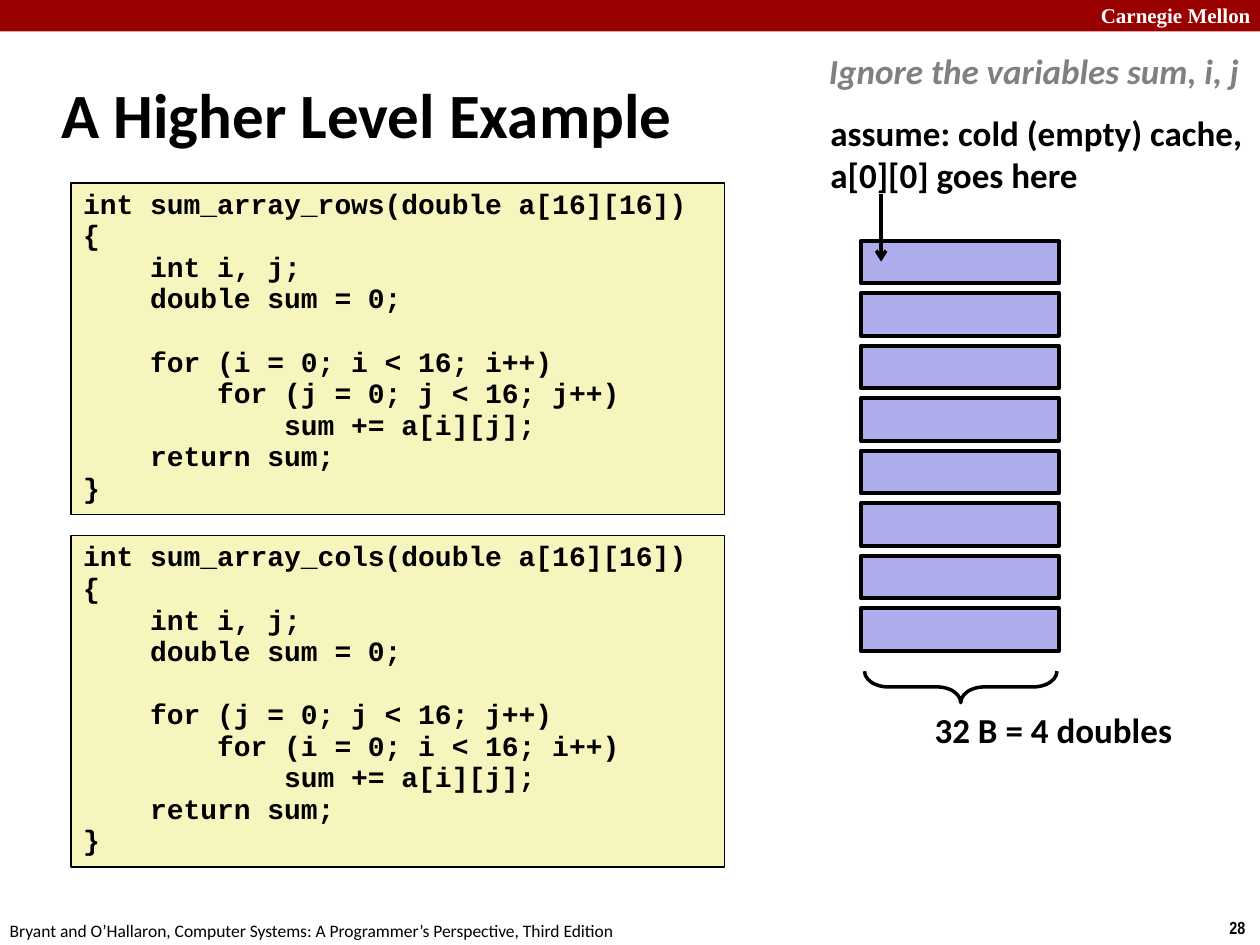
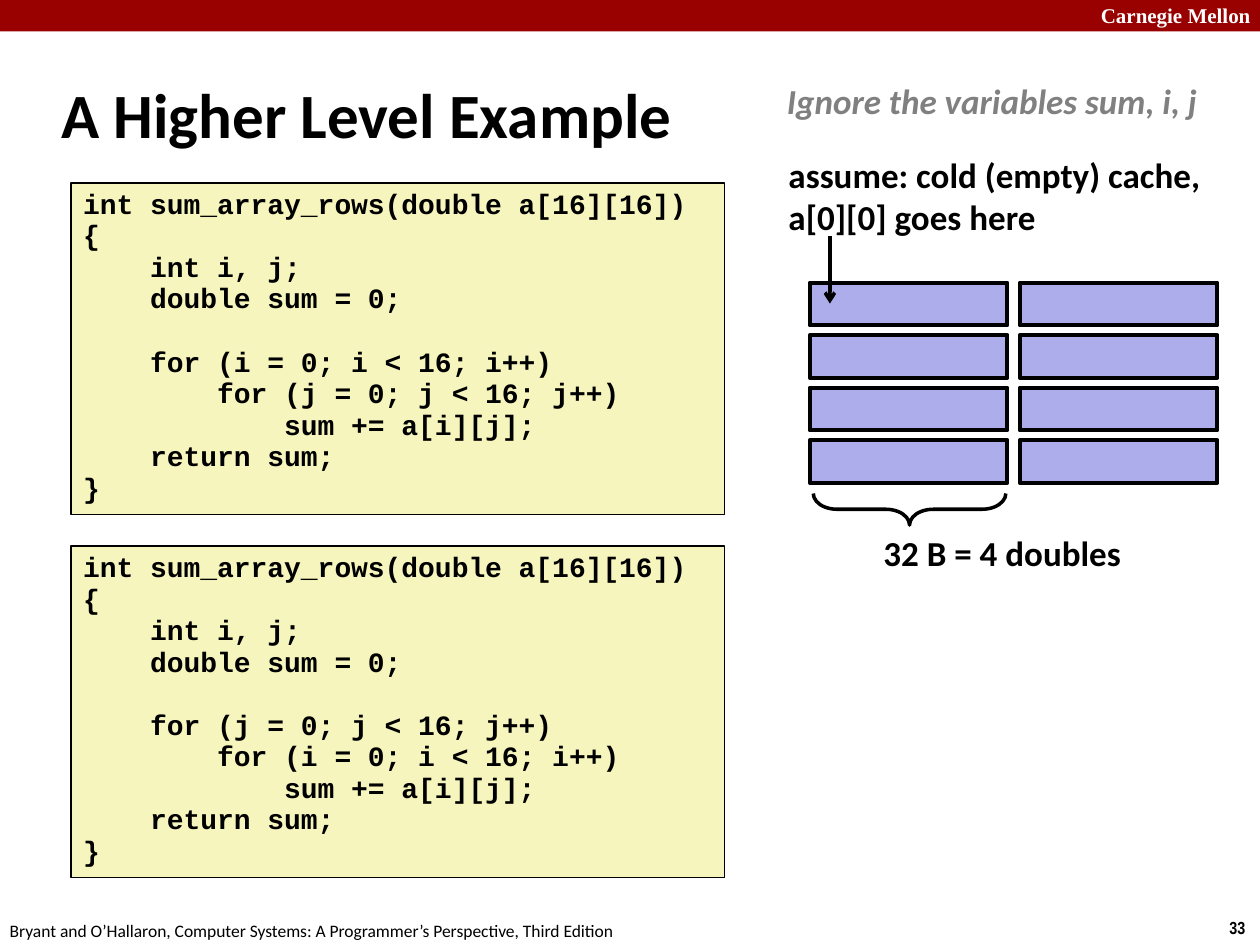
from lxml.etree import SubElement
from pptx import Presentation
from pptx.dml.color import RGBColor
from pptx.enum.shapes import MSO_CONNECTOR, MSO_SHAPE
from pptx.enum.text import MSO_ANCHOR, PP_ALIGN
from pptx.oxml.ns import qn
from pptx.util import Pt

BLACK = "000000"
WHITE = "FFFFFF"
GRAY = "808080"
BAND_RED = "990000"
CODE_YELLOW = "F6F5BD"
CACHE_BLUE = "ADADEB"

LINE_WIDTH, LINE_HEIGHT = 113, 24.5
COLUMN_PITCH, ROW_PITCH = 120, 30
CODE_LEFT, CODE_WIDTH, CODE_HEIGHT = 40.5, 373.5, 189.5

CODE = """int {name}(double a[16][16])
{{
    int i, j;
    double sum = 0;

    for ({outer} = 0; {outer} < 16; {outer}++)
        for ({inner} = 0; {inner} < 16; {inner}++)
            sum += a[i][j];
    return sum;
}}"""


def color(value):
    return RGBColor.from_string(value)


def write_lines(frame, lines, size, font="Calibri", ink=BLACK, bold=True, italic=False):
    gap = False
    paragraph = frame.paragraphs[0]
    for number, line in enumerate(lines):
        if not line:
            gap = True
            continue
        if number:
            paragraph = frame.add_paragraph()
        paragraph.alignment = PP_ALIGN.LEFT
        if gap:
            paragraph.space_before = Pt(18)
            gap = False
        run = paragraph.add_run()
        run.text = line
        run.font.name = font
        run.font.size = Pt(size)
        run.font.bold = bold
        run.font.italic = italic
        run.font.color.rgb = color(ink)


def add_text(slide, box, lines, size, wrap=False, anchor=MSO_ANCHOR.TOP, **style):
    frame = slide.shapes.add_textbox(*map(Pt, box)).text_frame
    frame.word_wrap = wrap
    frame.vertical_anchor = anchor
    write_lines(frame, lines, size, **style)


def add_box(slide, kind, box, fill=None, line_width=None):
    shape = slide.shapes.add_shape(kind, *map(Pt, box))
    shape.shadow.inherit = False
    if fill:
        shape.fill.solid()
        shape.fill.fore_color.rgb = color(fill)
    else:
        shape.fill.background()
    if line_width:
        shape.line.color.rgb = color(BLACK)
        shape.line.width = Pt(line_width)
    else:
        shape.line.fill.background()
    return shape


def add_arrow(slide, left, top, bottom):
    arrow = slide.shapes.add_connector(
        MSO_CONNECTOR.STRAIGHT, Pt(left), Pt(top), Pt(left), Pt(bottom))
    arrow.line.color.rgb = color(BLACK)
    arrow.line.width = Pt(2)
    SubElement(arrow.line._get_or_add_ln(), qn("a:tailEnd"), type="arrow")
    SubElement(arrow._element.spPr, qn("a:effectLst"))


def add_frame(slide, page):
    add_box(slide, MSO_SHAPE.RECTANGLE, (0, 0, 720, 18), BAND_RED)
    add_text(slide, (622, -2, 103, 22), ["Carnegie Mellon"], 12, wrap=True,
             font="Times New Roman", ink=WHITE)
    add_text(slide, (695.5, 520.5, 24.5, 19.5), [str(page)], 10, font="Arial Narrow")
    add_text(slide, (-1.5, 522, 366, 19.5),
             ["Bryant and O’Hallaron, Computer Systems: A Programmer’s Perspective, Third Edition"],
             10, bold=False)
    add_text(slide, (28, 34.5, 598, 60), ["A Higher Level Example"], 36,
             wrap=True, anchor=MSO_ANCHOR.MIDDLE)


def add_code(slide, top, name, outer, inner):
    shape = add_box(slide, MSO_SHAPE.RECTANGLE,
                    (CODE_LEFT, top, CODE_WIDTH, CODE_HEIGHT), CODE_YELLOW, 1)
    frame = shape.text_frame
    frame.word_wrap = True
    frame.vertical_anchor = MSO_ANCHOR.TOP
    lines = CODE.format(name=name, outer=outer, inner=inner).split("\n")
    write_lines(frame, lines, 16, font="Courier New")
    for paragraph in frame.paragraphs:
        paragraph.line_spacing = 0.94


def add_cache(slide, left, top, rows, columns, brace_gap):
    for column in range(columns):
        for row in range(rows):
            add_box(slide, MSO_SHAPE.RECTANGLE,
                    (left + column * COLUMN_PITCH, top + row * ROW_PITCH,
                     LINE_WIDTH, LINE_HEIGHT), CACHE_BLUE, 2.25)

    depth, span = 18, 110
    brace_top = top + (rows - 1) * ROW_PITCH + LINE_HEIGHT + brace_gap
    center_x, center_y = left + 57, brace_top + depth / 2
    brace = add_box(slide, MSO_SHAPE.LEFT_BRACE,
                    (center_x - depth / 2, center_y - span / 2, depth, span), line_width=2)
    brace.adjustments[0] = 0.75
    brace.rotation = 270
    add_text(slide, (left + 35, brace_top + depth, 151, 32), ["32 B = 4 doubles"], 20)
    add_arrow(slide, left + 11.5, top - 26.5, top + 12)


def add_notes(slide, left, ignore_top, assume_top):
    add_text(slide, (left, assume_top, 252, 55.5),
             ["assume: cold (empty) cache,", "a[0][0] goes here"], 20)
    add_text(slide, (left - 1, ignore_top, 250.5, 32),
             ["Ignore the variables sum, i, j"], 20, ink=GRAY, italic=True)


def add_example(presentation, page, second_code, cache, notes):
    slide = presentation.slides.add_slide(presentation.slide_layouts[6])
    add_frame(slide, page)
    add_code(slide, 104.5, "sum_array_rows", "i", "j")
    add_cache(slide, **cache)
    add_notes(slide, **notes)
    add_code(slide, **second_code, outer="j", inner="i")


def main():
    presentation = Presentation()
    presentation.slide_width, presentation.slide_height = Pt(720), Pt(540)
    add_example(
        presentation, 28,
        second_code=dict(top=306, name="sum_array_cols"),
        cache=dict(left=492, top=137.5, rows=8, columns=1, brace_gap=11.5),
        notes=dict(left=467.5, ignore_top=24.5, assume_top=60))
    add_example(
        presentation, 33,
        second_code=dict(top=312, name="sum_array_rows"),
        cache=dict(left=462.75, top=161.5, rows=4, columns=2, brace_gap=6),
        notes=dict(left=443.5, ignore_top=42, assume_top=84))
    presentation.save("out.pptx")


if __name__ == "__main__":
    main()
